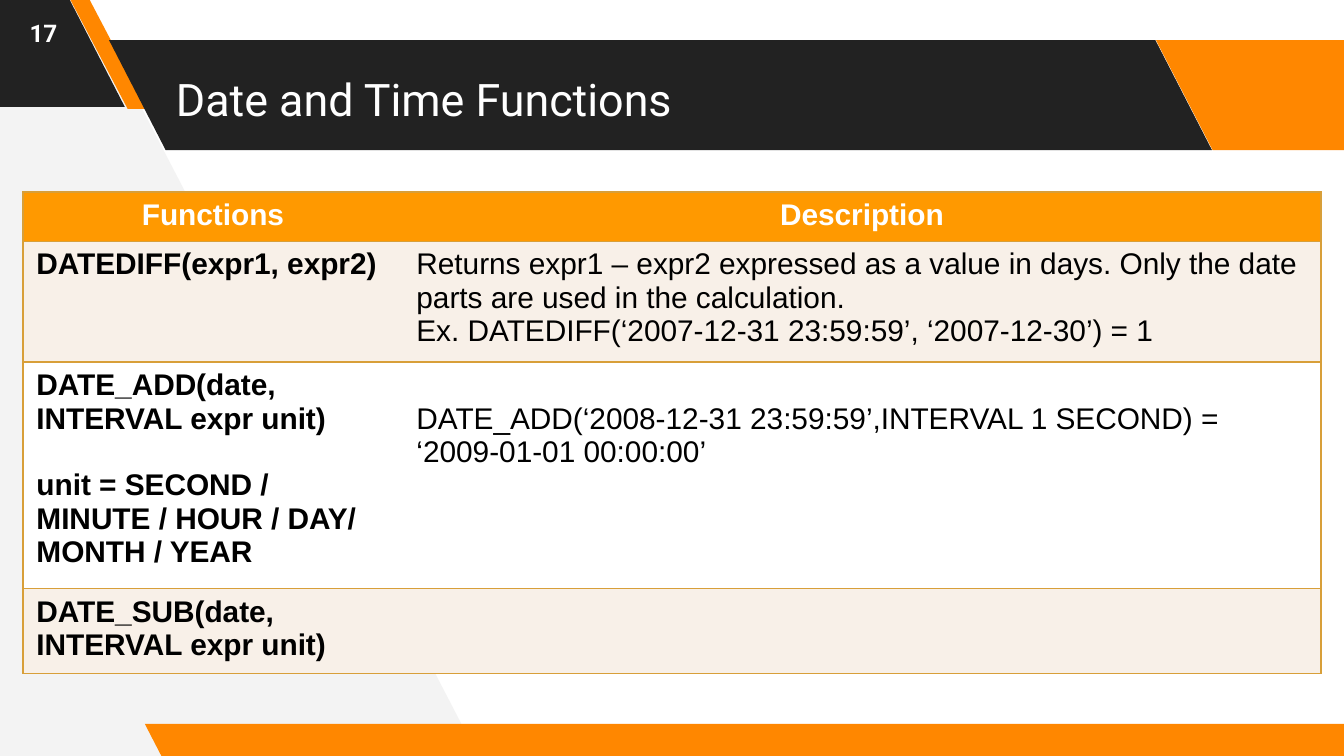
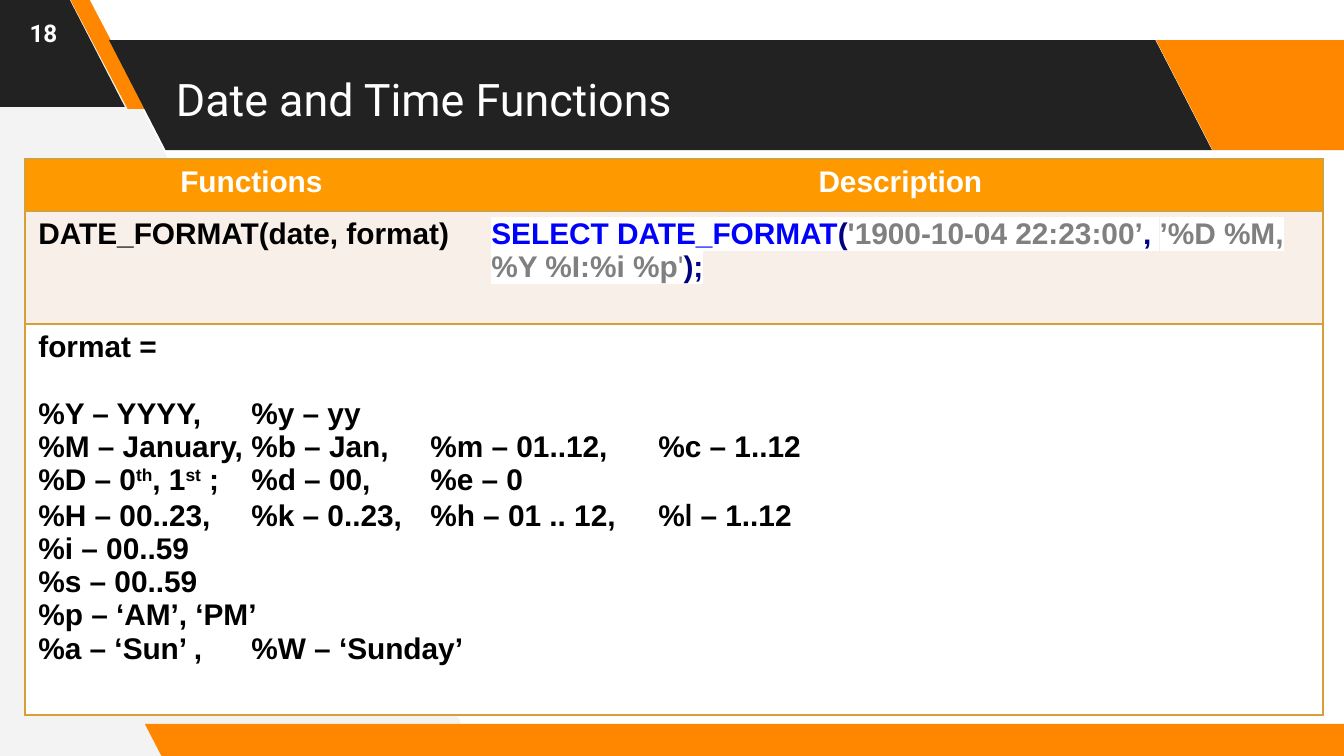
from lxml.etree import SubElement
from pptx import Presentation
from pptx.dml.color import RGBColor
from pptx.enum.shapes import MSO_SHAPE
from pptx.enum.text import MSO_ANCHOR, PP_ALIGN
from pptx.oxml.ns import qn
from pptx.util import Pt

PX = 914400 / 134.4
DARK, ORANGE, PALE = "222222", "FF8700", "F3F3F3"
HEADER, BAND, WHITE, BORDER = "FF9900", "F8F0E8", "FFFFFF", "D89F39"
KEYWORD, PUNCTUATION, LITERAL = "0000FF", "000080", "808080"
NO_STYLE = "{2D5ABB26-0587-4C30-8999-92F81FD0307C}"
LINE = 18
rgb = RGBColor.from_string


def write(frame, text, size=16, font="Arial", color="000000", bold=False, align=None,
          same_line=False, before=0, stops=(), baseline=0, highlight=None):
    paragraph = frame.paragraphs[-1]
    if paragraph.runs and not same_line:
        paragraph = frame.add_paragraph()
    if stops:
        tab_list = SubElement(paragraph._p.get_or_add_pPr(), qn("a:tabLst"))
        for stop in stops:
            SubElement(tab_list, qn("a:tab"), pos=str(round(stop * PX)), algn="l")
    if before:
        paragraph.space_before = Pt(before)
    if align is not None:
        paragraph.alignment = align
    run = paragraph.add_run()
    run.text = text
    run.font.size = Pt(size)
    run.font.bold = bold
    run.font.color.rgb = rgb(color)
    properties = run._r.get_or_add_rPr()
    if baseline:
        properties.set("baseline", str(baseline * 1000))
    if highlight:
        SubElement(SubElement(properties, qn("a:highlight")), qn("a:srgbClr"), val=highlight)
    run.font.name = font


def add_function_table(slide, left, top, widths, heights, merge_last=False):
    frame = slide.shapes.add_table(
        len(heights), len(widths), round(left * PX), round(top * PX),
        round(sum(widths) * PX), round(sum(heights) * PX))
    frame._element.find(".//" + qn("a:tableStyleId")).text = NO_STYLE
    table = frame.table
    for column, width in zip(table.columns, widths):
        column.width = round(width * PX)
    for row, height in zip(table.rows, heights):
        row.height = round(height * PX)
    if merge_last:
        table.cell(len(heights) - 1, 0).merge(table.cell(len(heights) - 1, 1))
    for row_index in range(len(heights)):
        for column_index in range(len(widths)):
            cell = table.cell(row_index, column_index)
            sides = "LRTB" if cell.is_merge_origin else ("LTB", "RTB")[column_index]
            for side in sides:
                line = SubElement(cell._tc.get_or_add_tcPr(), qn(f"a:ln{side}"), w=str(Pt(1)))
                SubElement(SubElement(line, qn("a:solidFill")), qn("a:srgbClr"), val=BORDER)
            cell.fill.solid()
            cell.fill.fore_color.rgb = rgb(
                HEADER if row_index == 0 else BAND if row_index % 2 else WHITE)
    for column_index, heading in enumerate(("Functions", "Description")):
        write(table.cell(0, column_index).text_frame, heading, color=WHITE, bold=True,
              align=PP_ALIGN.CENTER)
    return table


presentation = Presentation()
presentation.slide_width = round(1344 * PX)
presentation.slide_height = round(756 * PX)

bands = [
    (-133, -3, 258, 110, 0.515, DARK),
    (70, -1, 77, 110, 0.75, ORANGE),
    (109, 40, 1103, 110, 0.515, DARK),
    (1156, 40, 258, 110, 0.515, ORANGE),
    (145, 724, 1230, 34, 0.515, ORANGE),
]

for number in (17, 18):
    slide = presentation.slides.add_slide(presentation.slide_layouts[6])
    builder = slide.shapes.build_freeform(478, 756, scale=PX)
    builder.add_line_segments([(83, -5), (-8, -5), (-3, 761)], close=True)
    backdrop = builder.convert_to_shape()
    backdrop.shadow.inherit = False
    backdrop.fill.solid()
    backdrop.fill.fore_color.rgb = rgb(PALE)
    backdrop.line.fill.background()

    for left, top, width, height, slant, color in bands:
        band = slide.shapes.add_shape(
            MSO_SHAPE.PARALLELOGRAM, *[round(length * PX) for length in (left, top, width, height)])
        band.adjustments[0] = slant
        band._element.spPr.find(qn("a:xfrm")).set("flipH", "1")
        band.shadow.inherit = False
        band.fill.solid()
        band.fill.fore_color.rgb = rgb(color)
        band.line.fill.background()

    labels = [
        ("Date and Time Functions", (163, 40, 988, 118), 24, False, PP_ALIGN.LEFT),
        (str(number), (0, 0, 87, 65), 13, True, PP_ALIGN.CENTER),
    ]
    for text, box, size, bold, align in labels:
        frame = slide.shapes.add_textbox(*[round(length * PX) for length in box]).text_frame
        frame.word_wrap = True
        frame.vertical_anchor = MSO_ANCHOR.MIDDLE
        frame.margin_left = frame.margin_right = round(13 * PX)
        frame.margin_top = frame.margin_bottom = round(13 * PX)
        write(frame, text, size=size, font="Roboto", color=WHITE, bold=bold, align=align)

interval_slide, format_slide = presentation.slides

interval_table = add_function_table(interval_slide, 23, 192, (380, 918), (47, 113, 213, 80))
signatures = [
    "DATEDIFF(expr1, expr2)",
    "DATE_ADD(date, INTERVAL expr unit)",
    "DATE_SUB(date, INTERVAL expr unit)",
]
for row_index, signature in enumerate(signatures, 1):
    write(interval_table.cell(row_index, 0).text_frame, signature, bold=True)
write(interval_table.cell(2, 0).text_frame,
      "unit = SECOND / MINUTE / HOUR / DAY/ MONTH / YEAR", bold=True, before=LINE)
difference = interval_table.cell(1, 1).text_frame
write(difference, "Returns expr1 – expr2 expressed as a value in days. "
      "Only the date parts are used in the calculation.")
write(difference, "Ex. DATEDIFF(‘2007-12-31 23:59:59’, ‘2007-12-30’) = 1")
addition = interval_table.cell(2, 1)
addition.margin_top = round(40 * PX)
write(addition.text_frame,
      "DATE_ADD(‘2008-12-31 23:59:59’,INTERVAL 1 SECOND) = ‘2009-01-01 00:00:00’")

format_table = add_function_table(
    format_slide, 25, 159, (453, 845), (52, 113, 391), merge_last=True)
write(format_table.cell(1, 0).text_frame, "DATE_FORMAT(date, format)", bold=True)
query = [
    ("SELECT", KEYWORD, True),
    (" ", "000000", False),
    ("DATE_FORMAT", KEYWORD, True),
    ("(", PUNCTUATION, True),
    ("'1900-10-04 22:23:00’", LITERAL, True),
    (", ", PUNCTUATION, True),
    ("’%D %M, %Y %I:%i %p", LITERAL, True),
    ("'", LITERAL, False),
    (");", PUNCTUATION, True),
]
for text, color, bold in query:
    write(format_table.cell(1, 1).text_frame, text, color=color, bold=bold,
          highlight=WHITE, same_line=True)

specifiers = format_table.cell(2, 0).text_frame
write(specifiers, "format =", bold=True)
specifier_lines = [
    [("%Y – YYYY,\t%y – yy", {"before": LINE})],
    [("%M – January,\t%b – Jan,\t%m – 01..12,\t%c – 1..12", {})],
    [("%D – 0", {}), ("th", {"baseline": 30}), (", 1", {}), ("st", {"baseline": 30}),
     (" ;\t%d – 00,\t%e – 0", {})],
    [("%H – 00..23,\t%k – 0..23,\t%h – 01 .. 12,\t%", {}), ("l", {"font": "Lato"}),
     (" – 1..12", {})],
    [("%i – 00..59", {})],
    [("%s – 00..59", {})],
    [("%p – ‘AM’, ‘PM’", {})],
    [("%a – ‘Sun’ ,\t%W – ‘Sunday’", {})],
]
for line in specifier_lines:
    for position, (text, style) in enumerate(line):
        write(specifiers, text, bold=True, same_line=position > 0,
              stops=() if position else (213, 392, 620), **style)

presentation.save("out.pptx")
